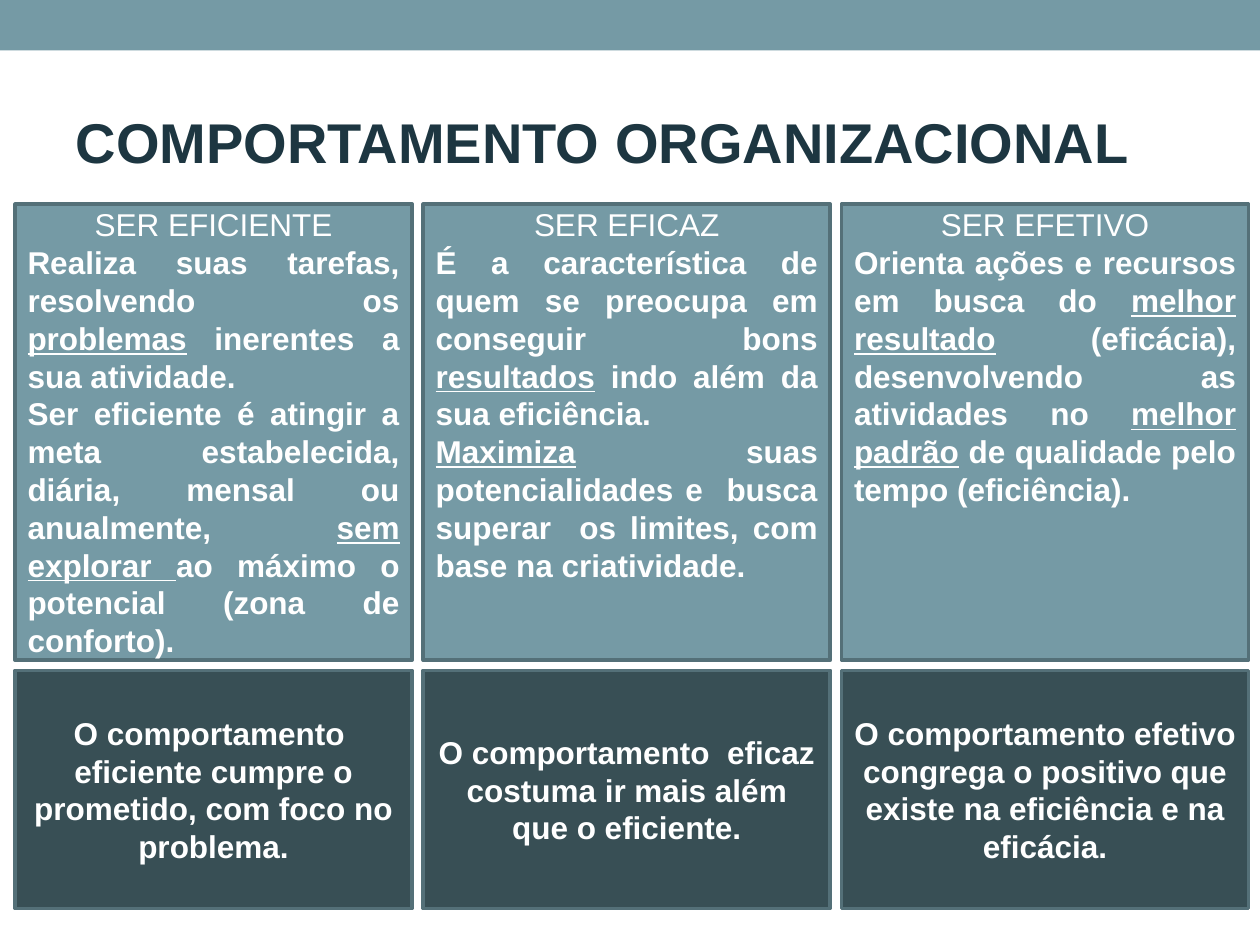
from pptx import Presentation
from pptx import util as u
from pptx.dml.color import RGBColor
from pptx.enum import shapes, text

COLORS = {"band": "759AA5", "dark": "384F55", "border": "547078",
          "title": "1D3641", "text": "FFFFFF"}
FONT = "Arial"
WIDTH, HEIGHT = 10, 7.5
COLUMNS = [(0.12, 3.15), (3.36, 3.23), (6.68, 3.23)]  # left, width
ROWS = [(1.62, 3.62), (5.32, 1.89)]  # top, height

# Underscores enclose the underlined words.
CONCEPTS = [
    ("SER EFICIENTE",
     ["Realiza suas tarefas, resolvendo os _problemas_ inerentes a sua atividade.",
      "Ser eficiente é atingir a meta estabelecida, diária, mensal ou anualmente, "
      "_sem explorar _ao máximo o potencial (zona de conforto)."],
     "O comportamento  eficiente cumpre o prometido, com foco no problema."),
    ("SER EFICAZ",
     ["É a característica de quem se preocupa em conseguir bons _resultados_ "
      "indo além da sua eficiência.",
      "_Maximiza_ suas potencialidades e  busca superar  os limites, "
      "com base na criatividade."],
     "O comportamento  eficaz costuma ir mais além que o eficiente."),
    ("SER EFETIVO",
     ["Orienta ações e recursos em busca do _melhor resultado_ (eficácia), "
      "desenvolvendo as atividades no _melhor padrão_ de qualidade pelo tempo "
      "(eficiência)."],
     "O comportamento efetivo congrega o positivo que existe na eficiência "
     "e na eficácia."),
]


def rgb(name):
    return RGBColor.from_string(COLORS[name])


def add_box(s, box, fill, border=None):
    sp = s.shapes.add_shape(shapes.MSO_SHAPE.RECTANGLE, *map(u.Inches, box))
    sp.shadow.inherit = False
    sp.fill.solid()
    sp.fill.fore_color.rgb = rgb(fill)
    if border:
        sp.line.color.rgb = rgb(border)
        sp.line.width = u.Pt(2.07)
    else:
        sp.line.fill.background()
    return sp


def add_run(p, words, size, color, bold):
    r = p.add_run()
    r.text = words
    r.font.name, r.font.size, r.font.bold = FONT, u.Pt(size), bold
    r.font.color.rgb = rgb(color)
    return r


def write_paragraph(p, marked, align, bold=True):
    """Write text whose underscore-enclosed parts are underlined."""
    p.alignment = align
    p.line_spacing = u.Pt(21.6)
    for i, words in enumerate(marked.split("_")):
        if words:
            r = add_run(p, words, 18, "text", bold)
            if i % 2:
                r.font.underline = True


def add_title(s, box):
    sp = s.shapes.title
    sp.left, sp.top, sp.width, sp.height = map(u.Inches, box)
    tf = sp.text_frame
    tf.word_wrap = True
    tf.vertical_anchor = text.MSO_ANCHOR.MIDDLE
    p = tf.paragraphs[0]
    p.alignment = text.PP_ALIGN.LEFT
    add_run(p, "COMPORTAMENTO ORGANIZACIONAL", 32, "title", True)


def add_definition(s, box, heading, body):
    tf = add_box(s, box, "band", "border").text_frame
    tf.word_wrap = True
    tf.vertical_anchor = text.MSO_ANCHOR.TOP
    tf.margin_top = tf.margin_bottom = u.Inches(0.01)
    write_paragraph(tf.paragraphs[0], heading, text.PP_ALIGN.CENTER, bold=False)
    for marked in body:
        write_paragraph(tf.add_paragraph(), marked, text.PP_ALIGN.JUSTIFY)


def add_summary(s, box, sentence):
    tf = add_box(s, box, "dark", "border").text_frame
    tf.word_wrap = True
    tf.vertical_anchor = text.MSO_ANCHOR.MIDDLE
    write_paragraph(tf.paragraphs[0], sentence, text.PP_ALIGN.CENTER)


def main():
    prs = Presentation()
    prs.slide_width, prs.slide_height = u.Inches(WIDTH), u.Inches(HEIGHT)
    s = prs.slides.add_slide(prs.slide_layouts[5])
    add_box(s, (0, 0, WIDTH, 0.4), "band")
    add_title(s, (0.5, 0.58, 9, 1.08))
    (top, tall), (bottom, short) = ROWS
    for (left, width), (heading, body, summary) in zip(COLUMNS, CONCEPTS):
        add_definition(s, (left, top, width, tall), heading, body)
        add_summary(s, (left, bottom, width, short), summary)
    prs.save("out.pptx")


if __name__ == "__main__":
    main()
